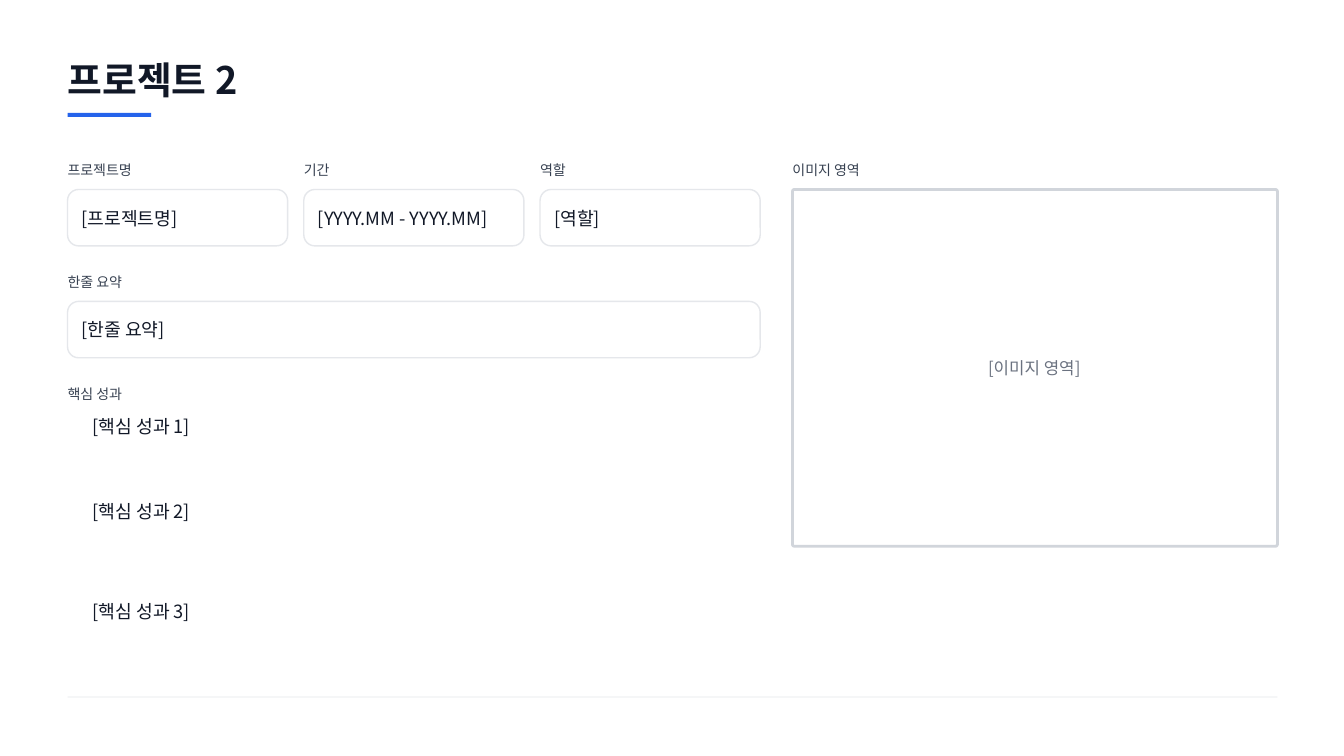
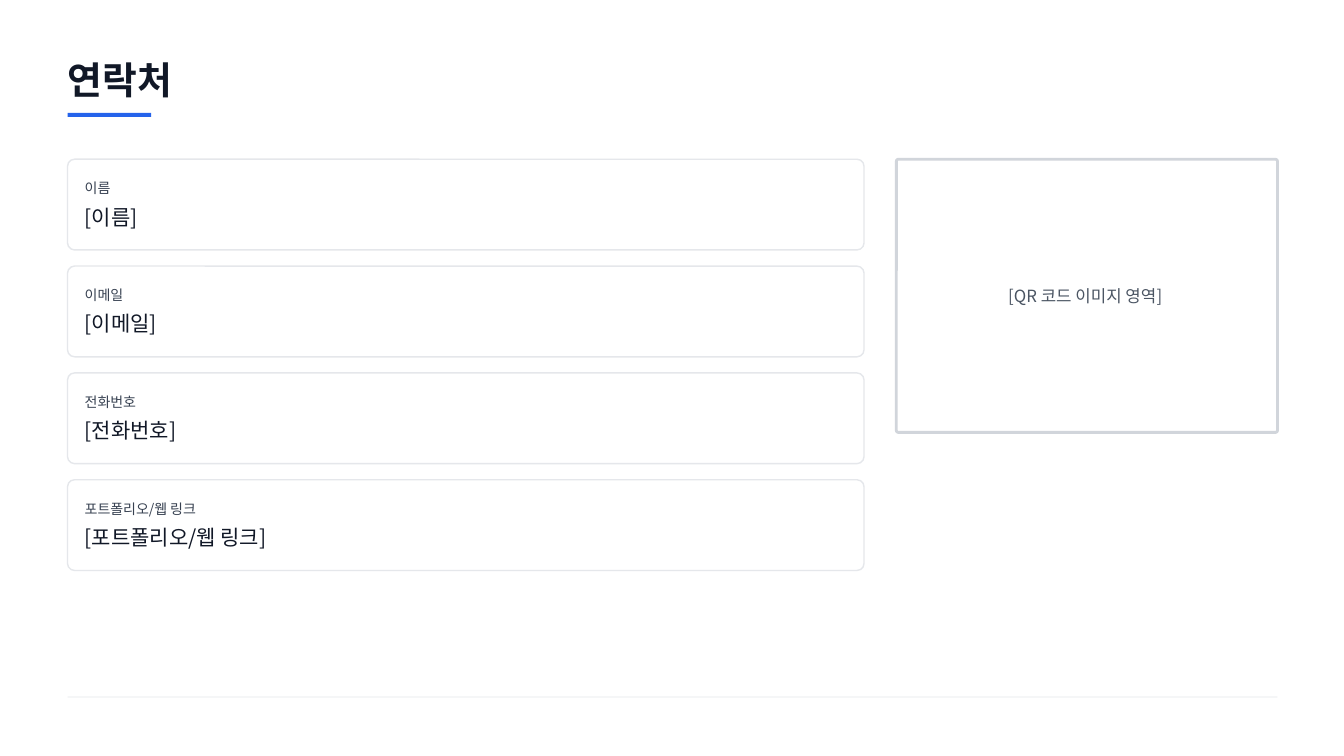
"""Build a project page and a contact page that share one frame."""
from lxml import etree
from pptx import Presentation
from pptx.dml.color import RGBColor
from pptx.enum.shapes import MSO_SHAPE
from pptx.enum.text import MSO_ANCHOR, MSO_AUTO_SIZE, PP_ALIGN
from pptx.oxml.ns import qn
from pptx.util import Inches, Pt

RECTANGLE = MSO_SHAPE.RECTANGLE
ROUNDED = MSO_SHAPE.ROUNDED_RECTANGLE
MIDDLE = MSO_ANCHOR.MIDDLE
LEFT = PP_ALIGN.LEFT
NO_AUTOFIT = MSO_AUTO_SIZE.NONE
TITLE_ONLY = 5

FONT = "Noto Sans CJK KR"
COLORS = {
    "ink": "111827",
    "label": "374151",
    "hint": "6B7280",
    "dark_hint": "4B5563",
    "accent": "2563EB",
    "border": "E5E7EB",
    "frame": "D1D5DB",
}

PAGE_WIDTH, PAGE_HEIGHT = 13.33, 7.5
MARGIN = 0.67
CONTENT_WIDTH = 12
RIGHT = MARGIN + CONTENT_WIDTH
TOP = 1.58
GAP = 0.16
LABEL_HEIGHT = 0.21
VALUE_HEIGHT = 0.27
FIELD_COLUMNS = 3
FIELDS_WIDTH = 6.87
FIELD_WIDTH = (FIELDS_WIDTH - (FIELD_COLUMNS - 1) * GAP) / FIELD_COLUMNS
FIELD_HEIGHT = 0.56
FIELD_DROP = 0.3
FIELD_INSET = 0.14
FIELD_ROW = 1.11
CARD_WIDTH, CARD_HEIGHT = 7.9, 0.9
CARD_INSET = 0.17
COLUMN_GAP = 0.32


def rgb(name):
    """Return the named palette colour."""
    return RGBColor.from_string(COLORS[name])


def inches(*lengths):
    """Convert lengths in inches to slide units."""
    return [Inches(length) for length in lengths]


def write_text(shape, text, size=13, color="ink", bold=False):
    """Write one left-aligned line, centred vertically and without insets."""
    frame = shape.text_frame
    frame.word_wrap = True
    frame.auto_size = NO_AUTOFIT
    frame.vertical_anchor = MIDDLE
    frame.margin_left = frame.margin_right = 0
    frame.margin_top = frame.margin_bottom = 0
    para = frame.paragraphs[0]
    para.alignment = LEFT
    span = para.add_run()
    span.text = text
    font = span.font
    font.name, font.size, font.bold = FONT, Pt(size), bold
    font.color.rgb = rgb(color)
    east_asian = etree.SubElement(span._r.get_or_add_rPr(), qn("a:ea"))
    east_asian.set("typeface", FONT)


def add_text(page, text, left, top, width, height, **style):
    """Add a text box with one formatted line."""
    box = page.shapes.add_textbox(*inches(left, top, width, height))
    write_text(box, text, **style)


def add_label(page, text, left, top, width):
    """Add a small label."""
    add_text(page, text, left, top, width, LABEL_HEIGHT, size=10, color="label")


def add_bar(page, left, top, width, height, color):
    """Add a solid bar without an outline."""
    bar = page.shapes.add_shape(RECTANGLE, *inches(left, top, width, height))
    bar.shadow.inherit = False
    bar.fill.solid()
    bar.fill.fore_color.rgb = rgb(color)
    bar.line.fill.background()


def add_outline(page, left, top, width, height, radius, color="border", weight=1):
    """Add an unfilled box whose corner radius is given in inches."""
    box = page.shapes.add_shape(ROUNDED, *inches(left, top, width, height))
    box.shadow.inherit = False
    box.adjustments[0] = radius / min(width, height)
    box.fill.background()
    box.line.color.rgb = rgb(color)
    box.line.width = Pt(weight)


def add_field(page, label, value, left, top, width):
    """Add a label above an outlined value."""
    box_top = top + FIELD_DROP
    add_label(page, label, left, top, width)
    add_outline(page, left, box_top, width, FIELD_HEIGHT, radius=0.11)
    add_text(page, value, left + FIELD_INSET,
             box_top + (FIELD_HEIGHT - VALUE_HEIGHT) / 2,
             width - 2 * FIELD_INSET, VALUE_HEIGHT)


def add_card(page, label, value, top):
    """Add an outlined card holding a label and its value."""
    left, width = MARGIN + CARD_INSET, CARD_WIDTH - 2 * CARD_INSET
    add_outline(page, MARGIN, top, CARD_WIDTH, CARD_HEIGHT, radius=0.07)
    add_label(page, label, left, top + 0.18, width)
    add_text(page, value, left, top + 0.42, width, 0.3, size=15)


def add_image_area(page, text, left, top, height, text_left, color):
    """Add a framed area, up to the right margin, with a hint inside."""
    add_outline(page, left, top, RIGHT - left, height, radius=0.02,
                color="frame", weight=2)
    add_text(page, text, text_left, top, RIGHT - text_left, height,
             size=12, color=color)


def add_page(deck, title):
    """Add a page with its title, accent bar and footer rule."""
    page = deck.slides.add_slide(deck.slide_layouts[TITLE_ONLY])
    heading = page.shapes.title
    heading.left, heading.top, heading.width, heading.height = inches(
        MARGIN, 0.52, CONTENT_WIDTH, 0.54)
    write_text(heading, title, size=27, bold=True)
    add_bar(page, MARGIN, 1.12, 0.83, 0.04, "accent")
    add_bar(page, MARGIN, 6.91, CONTENT_WIDTH, 0.01, "border")
    return page


def build_project(deck):
    """Build the project page."""
    page = add_page(deck, "프로젝트 2")
    fields = [("프로젝트명", "[프로젝트명]"),
              ("기간", "[YYYY.MM - YYYY.MM]"),
              ("역할", "[역할]")]
    for column, (label, value) in enumerate(fields):
        left = MARGIN + column * (FIELD_WIDTH + GAP)
        add_field(page, label, value, left, TOP, FIELD_WIDTH)
    add_field(page, "한줄 요약", "[한줄 요약]", MARGIN, TOP + FIELD_ROW, FIELDS_WIDTH)
    add_label(page, "핵심 성과", MARGIN, TOP + 2 * FIELD_ROW, FIELDS_WIDTH)
    for number, top in enumerate((4.09, 4.94, 5.93), start=1):
        add_text(page, f"[핵심 성과 {number}]", MARGIN + 0.25, top, 6.48, VALUE_HEIGHT)
    left = MARGIN + FIELDS_WIDTH + COLUMN_GAP
    add_label(page, "이미지 영역", left, TOP, RIGHT - left)
    add_image_area(page, "[이미지 영역]", left, TOP + FIELD_DROP, 3.54,
                   text_left=9.8, color="hint")


def build_contact(deck):
    """Build the contact page."""
    page = add_page(deck, "연락처")
    for row, label in enumerate(("이름", "이메일", "전화번호", "포트폴리오/웹 링크")):
        add_card(page, label, f"[{label}]", TOP + row * (CARD_HEIGHT + GAP))
    add_image_area(page, "[QR 코드 이미지 영역]", MARGIN + CARD_WIDTH + COLUMN_GAP,
                   TOP, 2.71, text_left=10, color="dark_hint")


def main():
    """Build and save the deck."""
    deck = Presentation()
    deck.slide_width, deck.slide_height = inches(PAGE_WIDTH, PAGE_HEIGHT)
    build_project(deck)
    build_contact(deck)
    deck.save("out.pptx")


if __name__ == "__main__":
    main()
